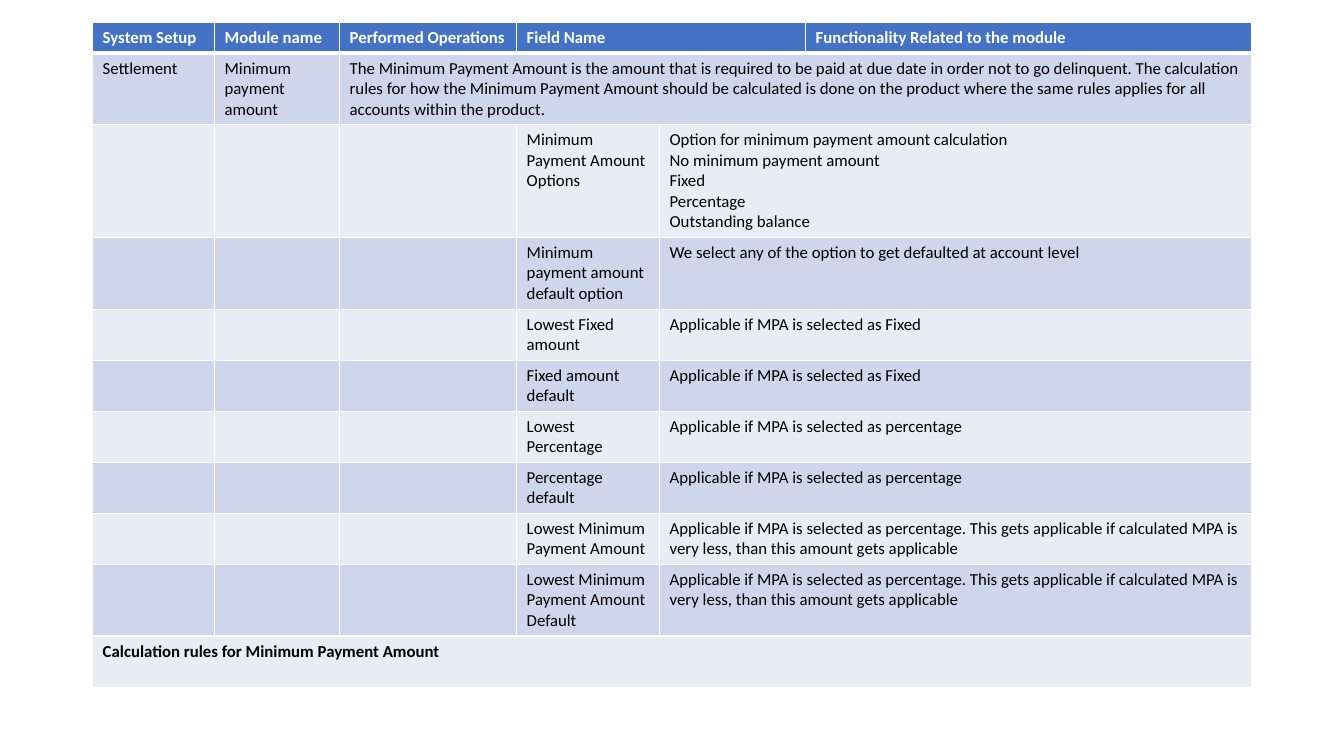
"""Build a slide with the table of minimum payment amount settings."""
from dataclasses import dataclass

from lxml import etree
from pptx import Presentation
from pptx.dml.color import RGBColor
from pptx.enum.text import PP_ALIGN
from pptx.oxml.ns import qn
from pptx.util import Pt

LEFT_ALIGN = PP_ALIGN.LEFT

HEADER = [("System Setup", 1), ("Module name", 1), ("Performed Operations", 1),
          ("Field Name", 2), ("Functionality Related to the module", 1)]
MODULE = [
    ("Settlement", 1), ("Minimum payment amount", 1),
    ("The Minimum Payment Amount is the amount that is required to be paid at due date "
     "in order not to go delinquent. The calculation rules for how the Minimum Payment "
     "Amount should be calculated is done on the product where the same rules applies "
     "for all accounts within the product.", 4),
]
FIXED = "Applicable if MPA is selected as Fixed"
PERCENTAGE = "Applicable if MPA is selected as percentage"
LOWEST = (PERCENTAGE + ". This gets applicable if calculated MPA is very less, "
          "than this amount gets applicable")
FIELDS = [
    (5, "Minimum Payment Amount Options",
     "Option for minimum payment amount calculation\nNo minimum payment amount\n"
     "Fixed\nPercentage\nOutstanding balance"),
    (3, "Minimum payment amount default option",
     "We select any of the option to get defaulted at account level"),
    (2, "Lowest Fixed amount", FIXED),
    (2, "Fixed amount default", FIXED),
    (2, "Lowest Percentage", PERCENTAGE),
    (2, "Percentage default", PERCENTAGE),
    (2, "Lowest Minimum Payment Amount", LOWEST),
    (3, "Lowest Minimum Payment Amount Default", LOWEST),
]
FOOTER = [("Calculation rules for Minimum Payment Amount", 6)]

SLIDE_SIZE = (960, 540)
TABLE_LEFT, TABLE_TOP = 66.2, 16.2
COLUMN_WIDTHS = [87.1, 89.3, 126.5, 102.1, 104.3, 318.7]
LINE_HEIGHT, CELL_PADDING = 14.65, 7.2


@dataclass(frozen=True)
class Theme:
    """Colours, font and sizes of the slide."""
    font: str = "Calibri"
    size: float = 12
    header: str = "4472C4"
    bands: tuple = ("E9EBF5", "CFD5EA")
    light: str = "FFFFFF"
    dark: str = "000000"
    rule: float = 1
    header_rule: float = 3


THEME = Theme()


def write(cell, text, *, color, bold):
    """Fill a cell with one paragraph per line of text."""
    frame = cell.text_frame
    for number, line in enumerate(text.split("\n")):
        para = frame.add_paragraph() if number else frame.paragraphs[0]
        para.alignment = LEFT_ALIGN
        span = para.add_run()
        span.text = line
        span.font.name = THEME.font
        span.font.size = Pt(THEME.size)
        span.font.bold = bold
        span.font.color.rgb = RGBColor.from_string(color)


def style_cell(cell, *, fill, top, bottom):
    """Draw the borders of a cell and fill it."""
    properties = cell._tc.get_or_add_tcPr()
    widths = {"lnL": THEME.rule, "lnR": THEME.rule, "lnT": top, "lnB": bottom}
    for side, width in widths.items():
        border = etree.SubElement(properties, qn(f"a:{side}"), w=str(Pt(width)))
        solid = etree.SubElement(border, qn("a:solidFill"))
        etree.SubElement(solid, qn("a:srgbClr"), val=THEME.light)
    cell.fill.solid()
    cell.fill.fore_color.rgb = RGBColor.from_string(fill)


def build_row(table, index, entries):
    """Merge, write and style the cells of one table row."""
    is_header = index == 0
    bold = is_header or entries is FOOTER
    color = THEME.light if is_header else THEME.dark
    fill = THEME.header if is_header else THEME.bands[index % 2]
    top = THEME.header_rule if index == 1 else THEME.rule
    bottom = THEME.header_rule if is_header else THEME.rule
    column = 0
    for text, width in entries:
        if width > 1:
            table.cell(index, column).merge(table.cell(index, column + width - 1))
        for offset in range(width):
            cell = table.cell(index, column + offset)
            write(cell, "" if offset else text, color=color, bold=bold)
            style_cell(cell, fill=fill, top=top, bottom=bottom)
        column += width


def main():
    """Save the deck with its single table slide."""
    deck = Presentation()
    deck.slide_width, deck.slide_height = map(Pt, SLIDE_SIZE)
    page = deck.slides.add_slide(deck.slide_layouts.get_by_name("Blank"))
    blanks = [("", 1)] * 3
    rows = [(1, HEADER), (3, MODULE)]
    rows += [(lines, blanks + [(name, 1), (use, 2)]) for lines, name, use in FIELDS]
    rows.append((2, FOOTER))
    heights = [lines * LINE_HEIGHT + CELL_PADDING for lines, entries in rows]
    table = page.shapes.add_table(
        len(rows), len(COLUMN_WIDTHS), Pt(TABLE_LEFT), Pt(TABLE_TOP),
        Pt(sum(COLUMN_WIDTHS)), Pt(sum(heights))).table
    for column, width in zip(table.columns, COLUMN_WIDTHS):
        column.width = Pt(width)
    for index, (lines, entries) in enumerate(rows):
        table.rows[index].height = Pt(heights[index])
        build_row(table, index, entries)
    deck.save("out.pptx")


if __name__ == "__main__":
    main()
